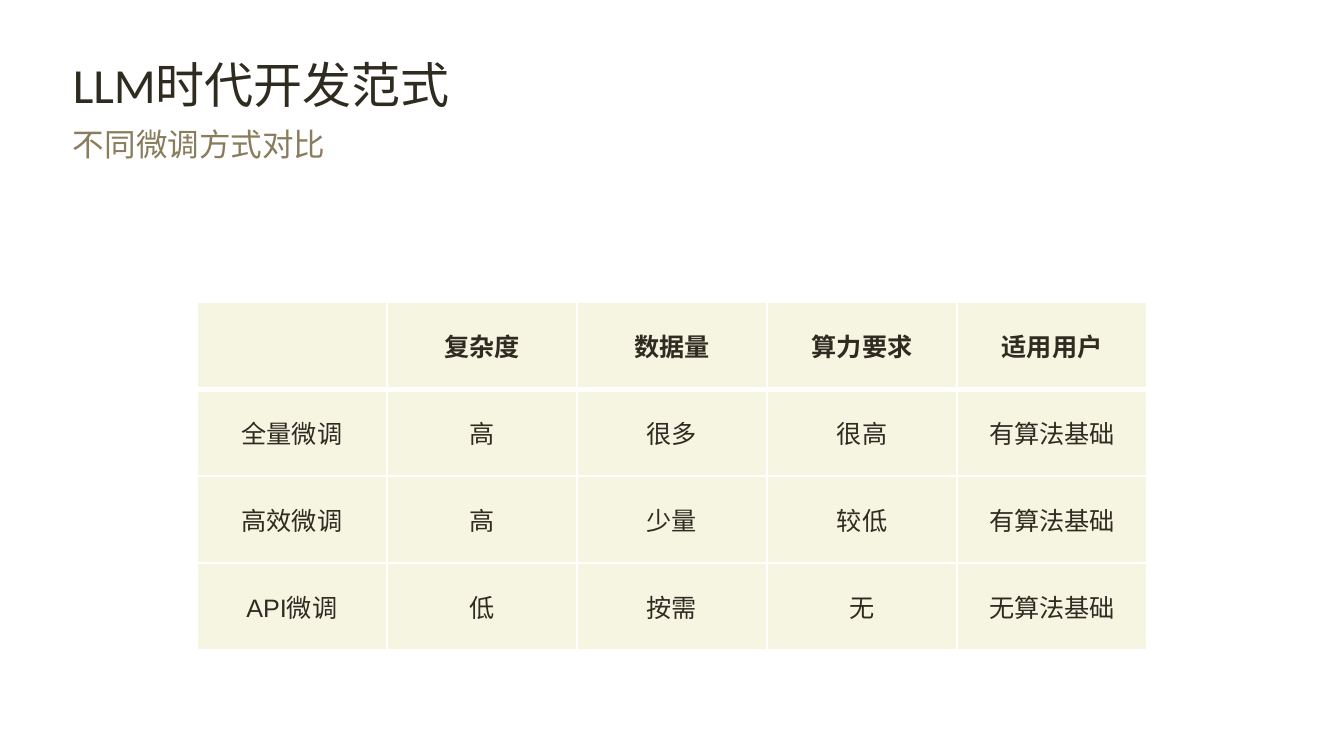
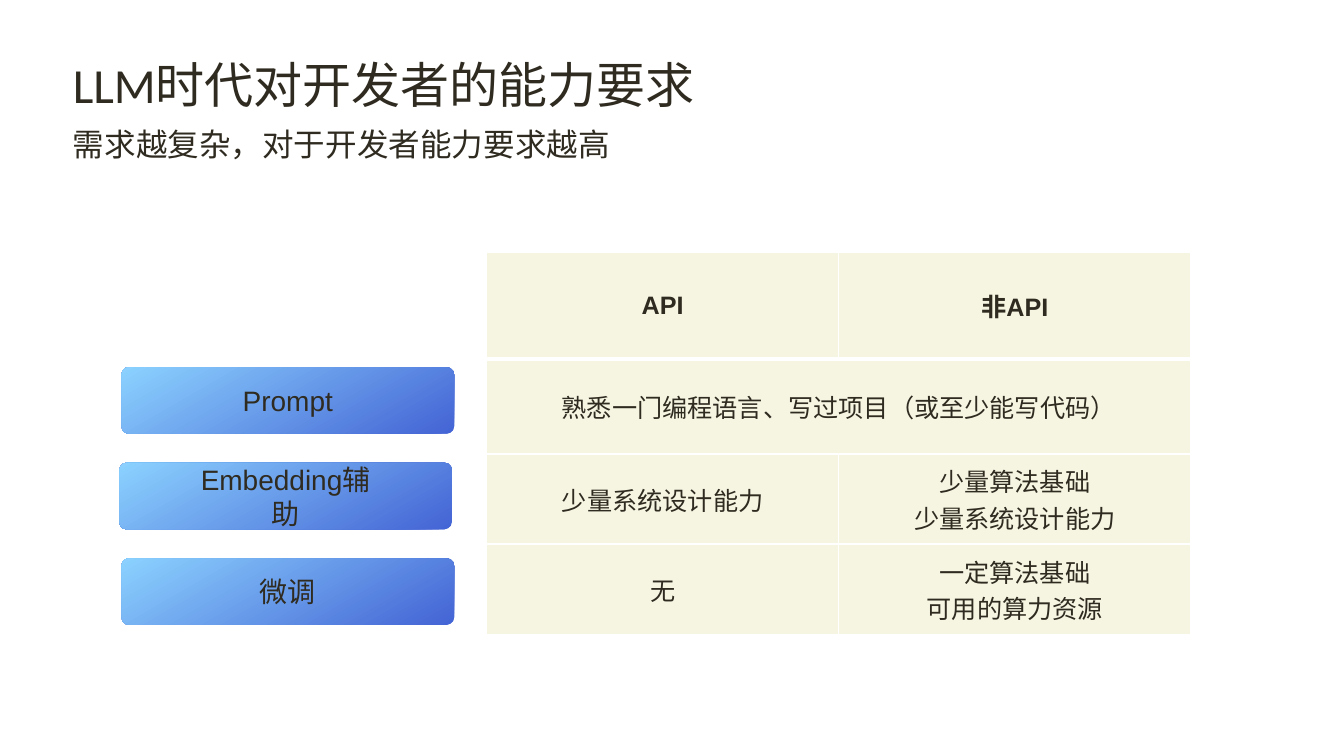
from dataclasses import dataclass

from lxml import etree
from pptx import Presentation
from pptx.dml import color
from pptx.enum import shapes, text
from pptx.oxml import ns
from pptx.util import Pt

INK = "2F2B20"
MUTED = "897D5D"
CREAM = "F6F5E2"
WHITE = "FFFFFF"
BLUE = "153DCA"
SKY = "6FC7FF"
TITLE_ONLY = 5


@dataclass
class Grid:
    left: float
    top: float
    col_width: float
    row_heights: list[float]
    rows: list[list[str | None]]


@dataclass
class Stage:
    label: str
    left: float


def rgb(value: str) -> color.RGBColor:
    return color.RGBColor.from_string(value)


def style_paragraph(p, size: float, font: str = "Arial", ink: str = INK,
                    align=text.PP_ALIGN.CENTER, bold: bool = False) -> None:
    p.alignment = align
    p.font.size = Pt(size)
    p.font.name = font
    p.font.bold = bold
    p.font.color.rgb = rgb(ink)


def set_frame(tf, inset_x: float = 1.4) -> None:
    tf.word_wrap = True
    tf.auto_size = text.MSO_AUTO_SIZE.NONE
    tf.vertical_anchor = text.MSO_ANCHOR.MIDDLE
    tf.margin_left = tf.margin_right = Pt(inset_x)
    tf.margin_top = tf.margin_bottom = Pt(1.4)


def add_titled_slide(prs, title: str, subtitle: str, subtitle_ink: str):
    s = prs.slides.add_slide(prs.slide_layouts[TITLE_ONLY])
    sp = s.shapes.title
    sp.left, sp.top, sp.width, sp.height = Pt(42), Pt(30.2), Pt(700), Pt(39)
    box = s.shapes.add_textbox(Pt(42), Pt(72.7), Pt(700), Pt(26))
    for shape, words, size, font, ink in (
        (sp, title, 29.2, "Calibri", INK),
        (box, subtitle, 18.8, "Arial", subtitle_ink),
    ):
        tf = shape.text_frame
        tf.text = words
        set_frame(tf)
        style_paragraph(tf.paragraphs[0], size, font, ink, text.PP_ALIGN.LEFT)
    return s


def set_borders(cell, top: float, bottom: float) -> None:
    props = cell._tc.get_or_add_tcPr()
    widths = {"lnL": 1, "lnR": 1, "lnT": top, "lnB": bottom}
    for i, (side, width) in enumerate(widths.items()):
        line = etree.Element(ns.qn(f"a:{side}"), w=str(Pt(width)))
        fill = etree.SubElement(line, ns.qn("a:solidFill"))
        etree.SubElement(fill, ns.qn("a:srgbClr"), val=WHITE)
        props.insert(i, line)


def add_grid(s, grid: Grid) -> None:
    n_rows, n_cols = len(grid.rows), len(grid.rows[0])
    table = s.shapes.add_table(
        n_rows, n_cols, Pt(grid.left), Pt(grid.top),
        Pt(grid.col_width * n_cols), Pt(sum(grid.row_heights))).table
    table.horz_banding = False
    for col in table.columns:
        col.width = Pt(grid.col_width)
    for r, (height, words) in enumerate(zip(grid.row_heights, grid.rows)):
        table.rows[r].height = Pt(height)
        for c, value in enumerate(words):
            cell = table.cell(r, c)
            cell.fill.solid()
            cell.fill.fore_color.rgb = rgb(CREAM)
            set_borders(cell, 3 if r == 1 else 1, 3 if r == 0 else 1)
            if value is None:
                table.cell(r, c - 1).merge(cell)
                continue
            cell.vertical_anchor = text.MSO_ANCHOR.MIDDLE
            cell.margin_left = cell.margin_right = Pt(2.9)
            cell.margin_top = cell.margin_bottom = Pt(1.4)
            cell.text = value
            for p in cell.text_frame.paragraphs:
                style_paragraph(p, 15, bold=r == 0)


def add_stage(s, stage: Stage, top: float) -> None:
    sp = s.shapes.add_shape(shapes.MSO_SHAPE.ROUNDED_RECTANGLE,
                            Pt(stage.left), Pt(top), Pt(198), Pt(39.6))
    sp.adjustments[0] = 0.11
    sp.shadow.inherit = False
    sp.line.fill.background()
    sp.fill.gradient()
    sp.fill.gradient_angle = 120
    for stop, position, value in zip(sp.fill.gradient_stops, (0, 1), (BLUE, SKY)):
        stop.position = position
        stop.color.rgb = rgb(value)
    for clr in sp._element.spPr.iter(ns.qn("a:srgbClr")):
        etree.SubElement(clr, ns.qn("a:alpha"), val="80000")
    tf = sp.text_frame
    tf.text = stage.label
    set_frame(tf, inset_x=40)
    style_paragraph(tf.paragraphs[0], 16.7)


def build_tuning_slide(prs) -> None:
    s = add_titled_slide(prs, "LLM时代开发范式", "不同微调方式对比", MUTED)
    add_grid(s, Grid(117.2, 180.2, 113.2, [51.7] * 4, [
        ["", "复杂度", "数据量", "算力要求", "适用用户"],
        ["全量微调", "高", "很多", "很高", "有算法基础"],
        ["高效微调", "高", "少量", "较低", "有算法基础"],
        ["API微调", "低", "按需", "无", "无算法基础"],
    ]))


def build_skills_slide(prs) -> None:
    s = add_titled_slide(prs, "LLM时代对开发者的能力要求",
                         "需求越复杂，对于开发者能力要求越高", INK)
    stages = [Stage("Prompt", 72.4), Stage("Embedding辅助", 71.1), Stage("微调", 72.4)]
    for i, stage in enumerate(stages):
        add_stage(s, stage, 218.7 + 56.9 * i)
    add_grid(s, Grid(289.8, 150, 209.7, [63.8, 56.7, 53.5, 54], [
        ["API", "非API"],
        ["熟悉一门编程语言、写过项目（或至少能写代码）", None],
        ["少量系统设计能力", "少量算法基础\n少量系统设计能力"],
        ["无", "一定算法基础\n可用的算力资源"],
    ]))


def main() -> None:
    prs = Presentation()
    prs.slide_width, prs.slide_height = Pt(800.4), Pt(450.23)
    build_tuning_slide(prs)
    build_skills_slide(prs)
    prs.save("out.pptx")


if __name__ == "__main__":
    main()
